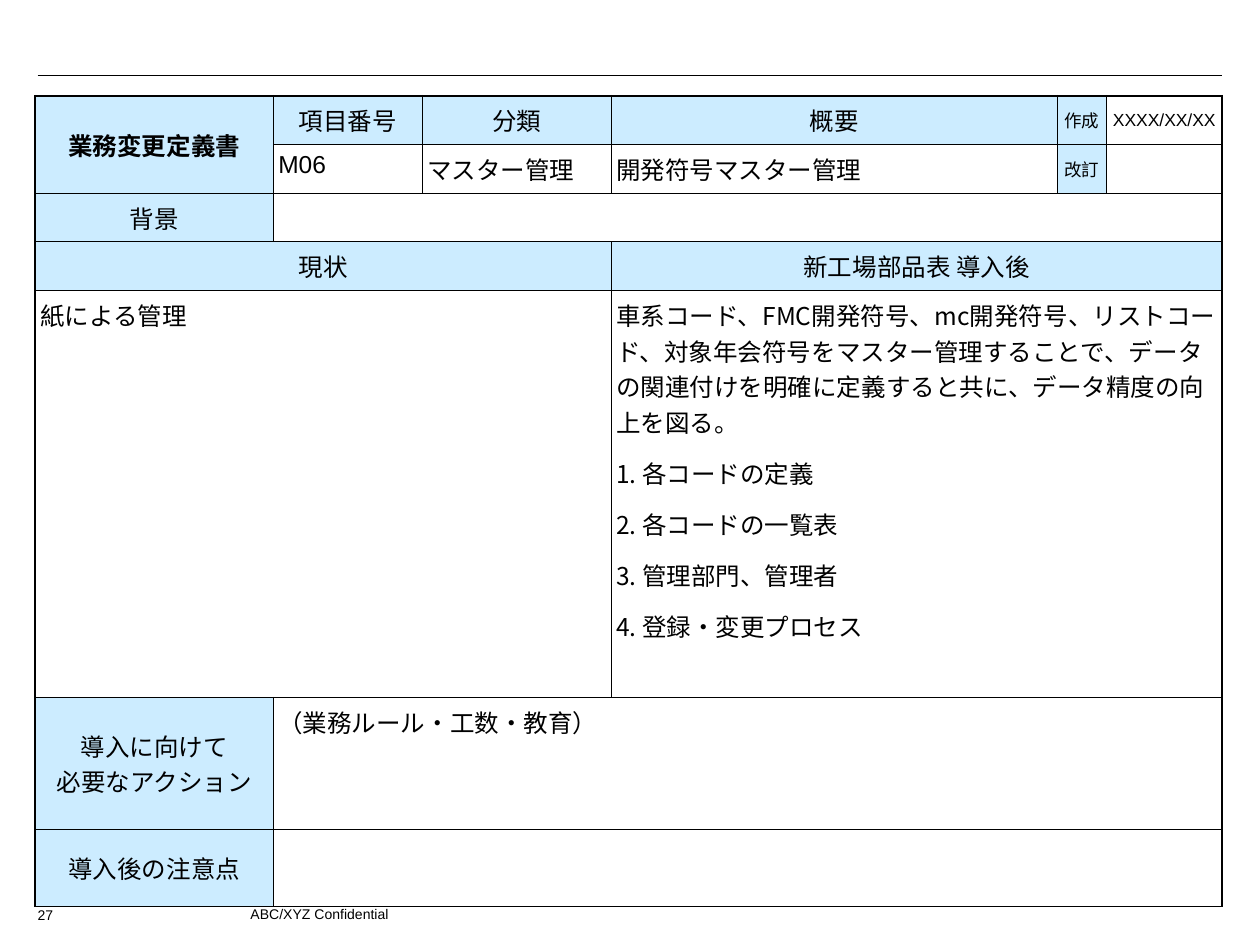
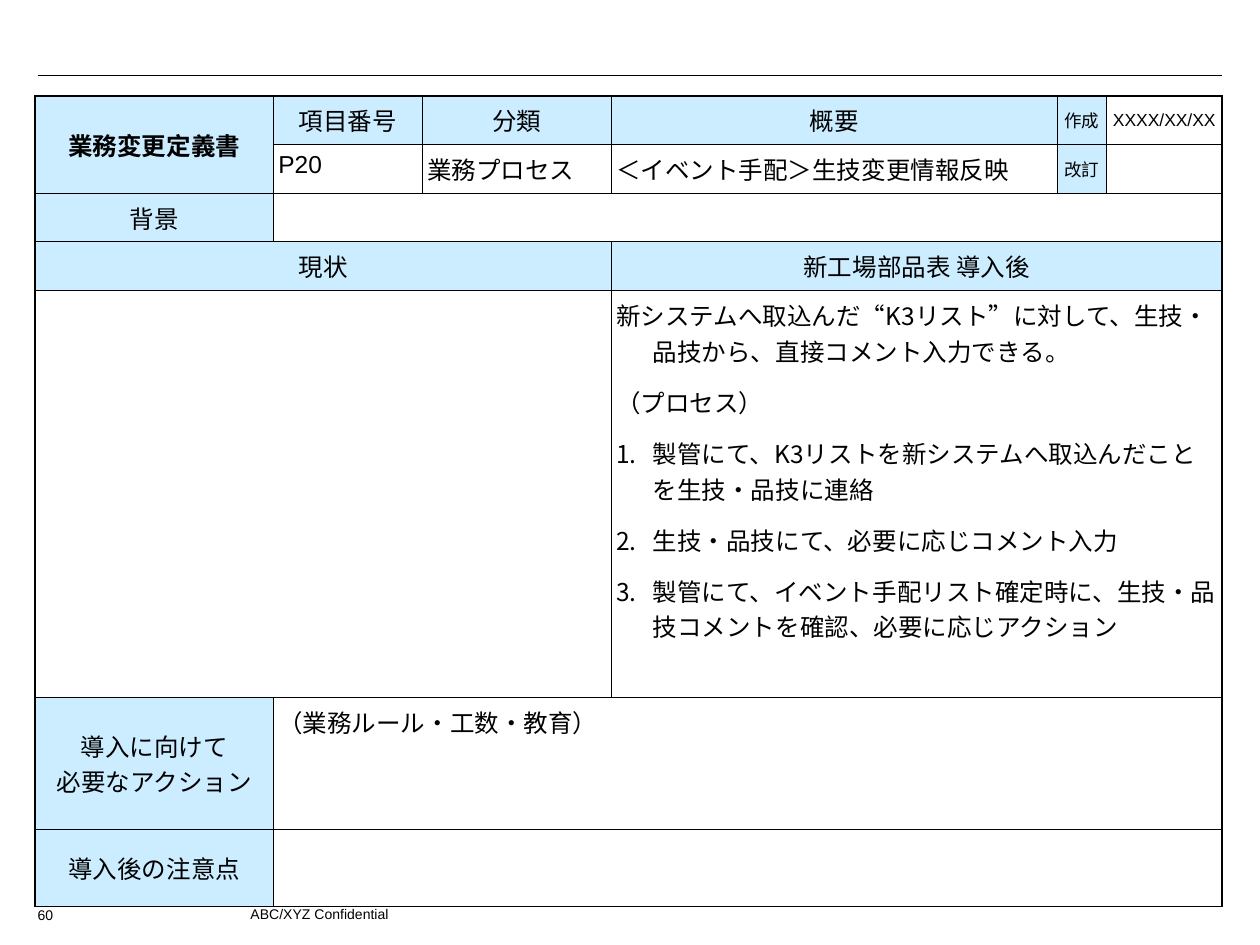
from lxml.etree import SubElement
from pptx import Presentation
from pptx.dml.color import RGBColor
from pptx.enum.shapes import MSO_CONNECTOR as Link
from pptx.enum.text import MSO_ANCHOR as Anchor, PP_ALIGN as Align
from pptx.oxml.ns import qn
from pptx.util import Cm, Pt

BLACK = RGBColor(0x00, 0x00, 0x00)
BLUE = RGBColor(0xCC, 0xEC, 0xFF)
LATIN, CJK = "Arial", "Noto Sans CJK JP"
THIN, THICK = Pt(0.45), Pt(1.08)
PLAIN_STYLE = "{2D5ABB26-0587-4C30-8999-92F81FD0307C}"
FOOTER = "ABC/XYZ Confidential"

COLS = (4.8, 3.0, 3.81, 8.99, 0.99, 2.34)
ROWS = (0.79, 0.79, 0.81, 0.79, 8.2, 2.67, 1.55)
# first and last cell of each merged block, as (row, column)
MERGES = (
    ((0, 0), (1, 0)),
    ((2, 1), (2, 5)),
    ((3, 0), (3, 2)),
    ((3, 3), (3, 5)),
    ((4, 0), (4, 2)),
    ((4, 3), (4, 5)),
    ((5, 1), (5, 5)),
    ((6, 1), (6, 5)),
)
HEADS = {
    (0, 0): "業務変更定義書",
    (0, 1): "項目番号",
    (0, 2): "分類",
    (0, 3): "概要",
    (0, 4): "作成",
    (1, 4): "改訂",
    (2, 0): "背景",
    (3, 0): "現状",
    (3, 3): "新工場部品表 導入後",
    (5, 0): "導入に向けて\n必要なアクション",
    (6, 0): "導入後の注意点",
}

SHEETS = (
    dict(
        page=27, code="M06", kind="マスター管理", title="開発符号マスター管理",
        now="紙による管理",
        after="車系コード、FMC開発符号、mc開発符号、リストコード、対象年会符号を"
              "マスター管理することで、データの関連付けを明確に定義すると共に、"
              "データ精度の向上を図る。\n"
              "1. 各コードの定義\n"
              "2. 各コードの一覧表\n"
              "3. 管理部門、管理者\n"
              "4. 登録・変更プロセス",
        style={},
    ),
    dict(
        page=60, code="P20", kind="業務プロセス",
        title="＜イベント手配＞生技変更情報反映",
        now="",
        after="新システムへ取込んだ“K3リスト”に対して、生技・品技から、"
              "直接コメント入力できる。\n"
              "（プロセス）\n"
              "製管にて、K3リストを新システムへ取込んだことを生技・品技に連絡\n"
              "生技・品技にて、必要に応じコメント入力\n"
              "製管にて、イベント手配リスト確定時に、生技・品技コメントを確認、"
              "必要に応じアクション",
        style=dict(hang=0.74, first=2),
    ),
)


def write(frame, text, size=14, font=LATIN, bold=False, align=Align.LEFT,
          gap=8.8, hang=0, first=None):
    """Fill a text frame, one paragraph a line; number lines from index first."""
    for i, line in enumerate(text.split("\n")):
        para = frame.paragraphs[0] if i == 0 else frame.add_paragraph()
        para.alignment = align
        if i:
            para.space_before = Pt(gap)
        if hang:
            props = para._p.get_or_add_pPr()
            props.set("marL", str(Cm(hang)))
            props.set("indent", str(-Cm(hang)))
            if first is not None and i >= first:
                SubElement(props, qn("a:buAutoNum"), type="arabicPeriod")
        if not line:
            SubElement(para._p, qn("a:endParaRPr"), sz=str(size * 100))
            continue
        run = para.add_run()
        run.text = line
        style = run.font
        style.size, style.name, style.bold = Pt(size), font, bold
        style.color.rgb = BLACK
        if font == CJK:
            SubElement(run._r.get_or_add_rPr(), qn("a:ea"), typeface=font)


def add_note(slide, text, left, top, width):
    box = slide.shapes.add_textbox(Cm(left), Cm(top), Cm(width), Cm(0.51))
    box.text_frame.word_wrap = True
    write(box.text_frame, text, size=8)


def add_rule(slide):
    rule = slide.shapes.add_connector(
        Link.STRAIGHT, Cm(0.76), Cm(1.52), Cm(24.64), Cm(1.52))
    rule.line.color.rgb = BLACK
    rule.line.width = Pt(0.75)
    SubElement(rule._element.spPr, qn("a:effectLst"))


def set_edges(cell, row, col):
    """Draw thin cell borders, thick on the outside of the form."""
    outer = {
        "lnL": col == 0,
        "lnR": col + cell.span_width == len(COLS),
        "lnT": row == 0,
        "lnB": row + cell.span_height == len(ROWS),
    }
    props = cell._tc.get_or_add_tcPr()
    for tag, thick in outer.items():
        edge = SubElement(props, qn("a:" + tag), w=str(THICK if thick else THIN))
        fill = SubElement(edge, qn("a:solidFill"))
        SubElement(fill, qn("a:srgbClr"), val=str(BLACK))


def set_cell(cell, row, col, text, style):
    head = (row, col) in HEADS
    side = Cm(0.05 if col == 4 else 0.1)
    cell.margin_left = cell.margin_right = side
    cell.margin_top = cell.margin_bottom = Cm(0.13)
    middle = head or row == 0 or (row == 1 and col > 1)
    cell.vertical_anchor = Anchor.MIDDLE if middle else Anchor.TOP
    set_edges(cell, row, col)
    if head:
        cell.fill.solid()
        cell.fill.fore_color.rgb = BLUE
    else:
        cell.fill.background()
    form = dict(
        size=10 if row < 2 and col > 3 else 14,
        bold=(row, col) == (0, 0),
        align=Align.CENTER if head or row == 0 else Align.LEFT,
        gap=0 if head else 8.8,
    )
    write(cell.text_frame, text, **(form | style))


def add_form(slide, sheet):
    frame = slide.shapes.add_table(
        len(ROWS), len(COLS), Cm(0.71), Cm(1.93), Cm(sum(COLS)), Cm(sum(ROWS)))
    table = frame.table
    table.first_row = table.horz_banding = False
    table._tbl.tblPr.find(qn("a:tableStyleId")).text = PLAIN_STYLE
    for col, width in zip(table.columns, COLS):
        col.width = Cm(width)
    for row, height in zip(table.rows, ROWS):
        row.height = Cm(height)
    for start, end in MERGES:
        table.cell(*start).merge(table.cell(*end))

    texts = HEADS | {
        (0, 5): "XXXX/XX/XX",
        (1, 1): sheet["code"],
        (1, 2): sheet["kind"],
        (1, 3): sheet["title"],
        (4, 0): sheet["now"],
        (4, 3): sheet["after"],
        (5, 1): "（業務ルール・工数・教育）",
    }
    styles = {(4, 3): dict(font=CJK) | sheet["style"]}
    for row in range(len(ROWS)):
        for col in range(len(COLS)):
            cell, key = table.cell(row, col), (row, col)
            if cell.is_spanned:
                cell.fill.background()
            else:
                set_cell(cell, row, col, texts.get(key, ""), styles.get(key, {}))


def main():
    deck = Presentation()
    deck.slide_width, deck.slide_height = Cm(25.4), Cm(19.05)
    for sheet in SHEETS:
        slide = deck.slides.add_slide(deck.slide_layouts[6])
        add_rule(slide)
        add_form(slide, sheet)
        add_note(slide, FOOTER, 4.8, 18.14, 16.51)
        add_note(slide, str(sheet["page"]), 0.51, 18.16, 1.02)
    deck.save("out.pptx")


if __name__ == "__main__":
    main()
